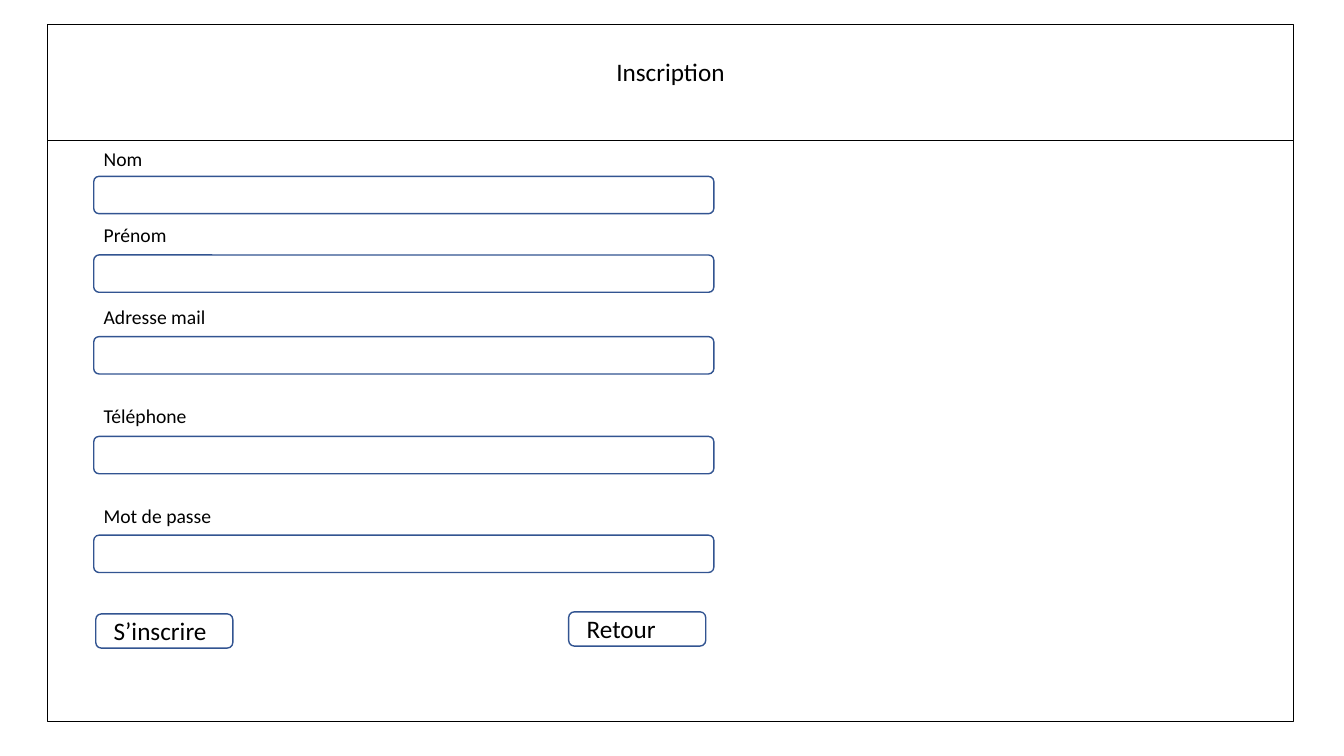
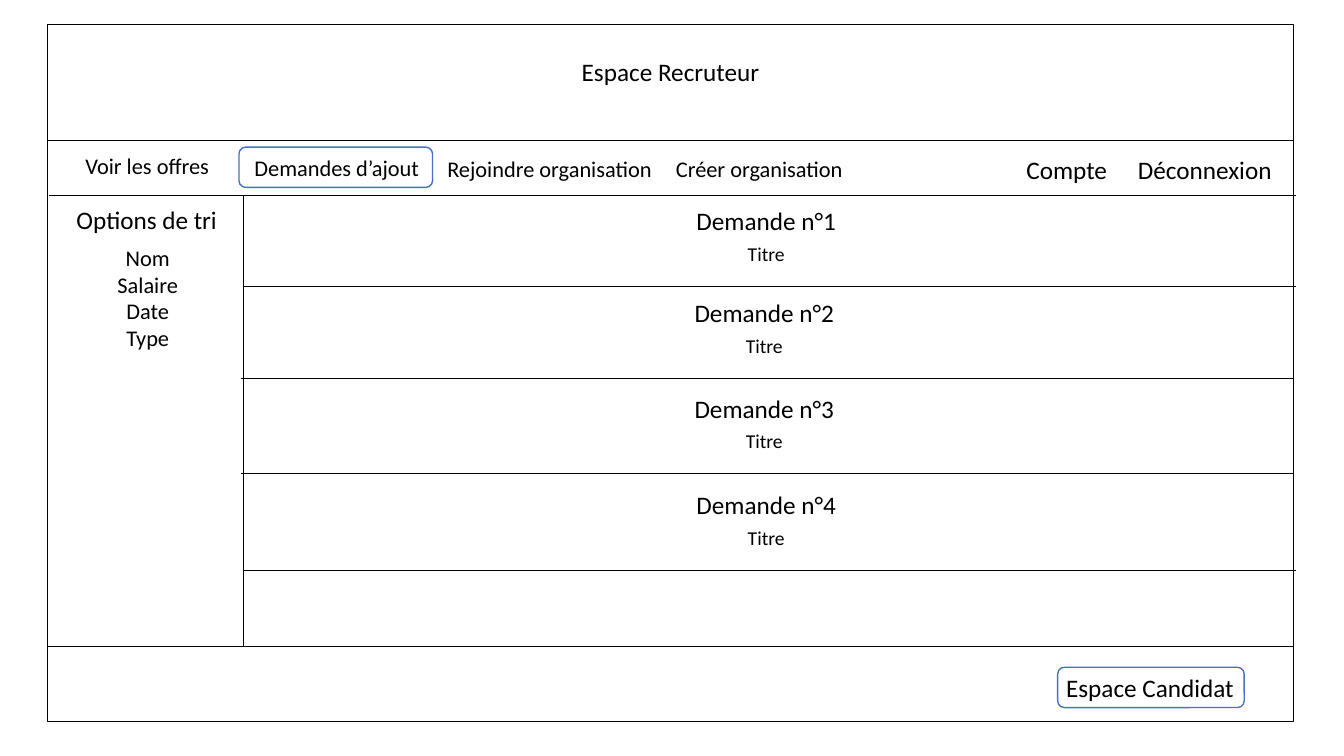
from lxml.etree import SubElement
from pptx import Presentation
from pptx.dml.color import RGBColor
from pptx.enum.shapes import MSO_CONNECTOR, MSO_SHAPE
from pptx.enum.text import PP_ALIGN
from pptx.oxml.ns import qn
from pptx.util import Emu, Pt

SCALE = 9144
FONT = "Calibri"
BLACK, NAVY, BLUE = "000000", "325491", "4472C4"
FRAME = (47, 24, 1236, 692)
HEAD = 115


def px(*sizes):
    """Turn px lengths into EMU."""
    return [Emu(size * SCALE) for size in sizes]


def tint(code):
    """Turn a hex string into a colour."""
    return RGBColor.from_string(code)


def outline(slide, box, color, kind=MSO_SHAPE.ROUNDED_RECTANGLE, curve=None):
    """Draw an unfilled shape with a thin border."""
    shape = slide.shapes.add_shape(kind, *px(*box))
    shape.shadow.inherit = False
    shape.fill.background()
    shape.line.color.rgb = tint(color)
    shape.line.width = Pt(1)
    if curve is not None:
        shape.adjustments[0] = curve


def rule(slide, x, y, dx=0, dy=0):
    """Draw a hairline from a point by an offset."""
    line = slide.shapes.add_connector(
        MSO_CONNECTOR.STRAIGHT, *px(x, y, x + dx, y + dy))
    line.line.color.rgb = tint(BLACK)
    line.line.width = Pt(0.5)
    SubElement(line._element.spPr, qn("a:effectLst"))


def label(slide, box, lines, size=18, align=PP_ALIGN.CENTER):
    """Write one paragraph for each line."""
    frame = slide.shapes.add_textbox(*px(*box)).text_frame
    frame.word_wrap = True
    frame.text = lines
    for para in frame.paragraphs:
        para.alignment = align
        para.font.name = FONT
        para.font.size = Pt(size)
        para.font.color.rgb = tint(BLACK)


def page(deck, title):
    """Add a slide with the framed title band and return it with its body box."""
    slide = deck.slides.add_slide(deck.slide_layouts[6])
    x, y, w, h = FRAME
    outline(slide, FRAME, BLACK, MSO_SHAPE.RECTANGLE)
    rule(slide, x, y + HEAD, w)
    label(slide, (x + 369, y + 27, 498, 40), title)
    return slide, (x, y + HEAD, w, h - HEAD)


def button(slide, x, y, text):
    """Draw a form button with its caption."""
    outline(slide, (x, y, 136, 34), NAVY)
    label(slide, (x + 8, y - 3, 127, 40), text, align=PP_ALIGN.LEFT)


def form(slide, box):
    """Place the labelled fields and the two buttons."""
    x, y, w, h = box
    fields = [("Nom", 2, 36), ("Prénom", 77, 114), ("Adresse mail", 159, 195),
              ("Téléphone", 257, 294), ("Mot de passe", 356, 392)]
    for name, top, entry in fields:
        outline(slide, (x + 46, y + entry, 615, 37), NAVY, curve=0.14)
        label(slide, (x + 46, y + top, 244, 34), name, 14, PP_ALIGN.LEFT)
    button(slide, x + 48, y + 470, "S’inscrire")
    button(slide, x + 517, y + 468, "Retour")


def menu(slide, box):
    """Place the menu entries and mark the active one."""
    x, y, w, h = box
    entries = [("Voir les offres", -6, 7, 210, 16),
               ("Demandes d’ajout", 146, 9, 282, 16),
               ("Rejoindre organisation", 357, 10, 282, 16),
               ("Créer organisation", 565, 10, 282, 16),
               ("Compte", 906, 9, 210, 18),
               ("Déconnexion", 1043, 9, 210, 18)]
    for name, left, top, width, size in entries:
        label(slide, (x + left, y + top, width, 40), name, size)
    outline(slide, (x + 190, y + 7, 192, 40), BLUE)
    rule(slide, x + 2, y + h, w)


def side(slide, box):
    """Place the sorting options and the line beside them."""
    x, y, w, h = box
    label(slide, (x - 21, y + 4, 239, 40), "Options de tri")
    label(slide, (x - 20, y + 43, 239, 118), "Nom\nSalaire\nDate\nType", 16)
    rule(slide, x + w, y, dy=h)


def rows(slide, box):
    """Place the requests, each closed by a line."""
    x, y, w, h = box
    ends = [(0, 90), (-2, 181), (-2, 276), (0, 372)]
    for num, (shift, end) in enumerate(ends, 1):
        left, base = x + shift, y + end
        rule(slide, left, base, w)
        label(slide, (left + 365, base - 85, 308, 40), f"Demande n°{num}")
        label(slide, (left + 365, base - 49, 308, 34), "Titre", 14)


def foot(slide, box):
    """Place the bottom band with its button."""
    x, y, w, h = box
    rule(slide, x, y, w)
    label(slide, (x + 945, y + 21, 297, 40), "Espace Candidat")
    outline(slide, (x + 1002, y + 21, 185, 40), BLUE)


def main():
    """Build and save both slides."""
    deck = Presentation()
    deck.slide_width, deck.slide_height = px(1333, 750)
    form(*page(deck, "Inscription"))
    slide, (x, y, w, h) = page(deck, "Espace Recruteur")
    bar, base, col = 55, 75, 194
    mid = h - bar - base
    menu(slide, (x, y, w, bar))
    side(slide, (x, y + bar, col, mid))
    rows(slide, (x + col, y + bar, w - col + 2, mid))
    foot(slide, (x, y + h - base, w, base))
    deck.save("out.pptx")


if __name__ == "__main__":
    main()
